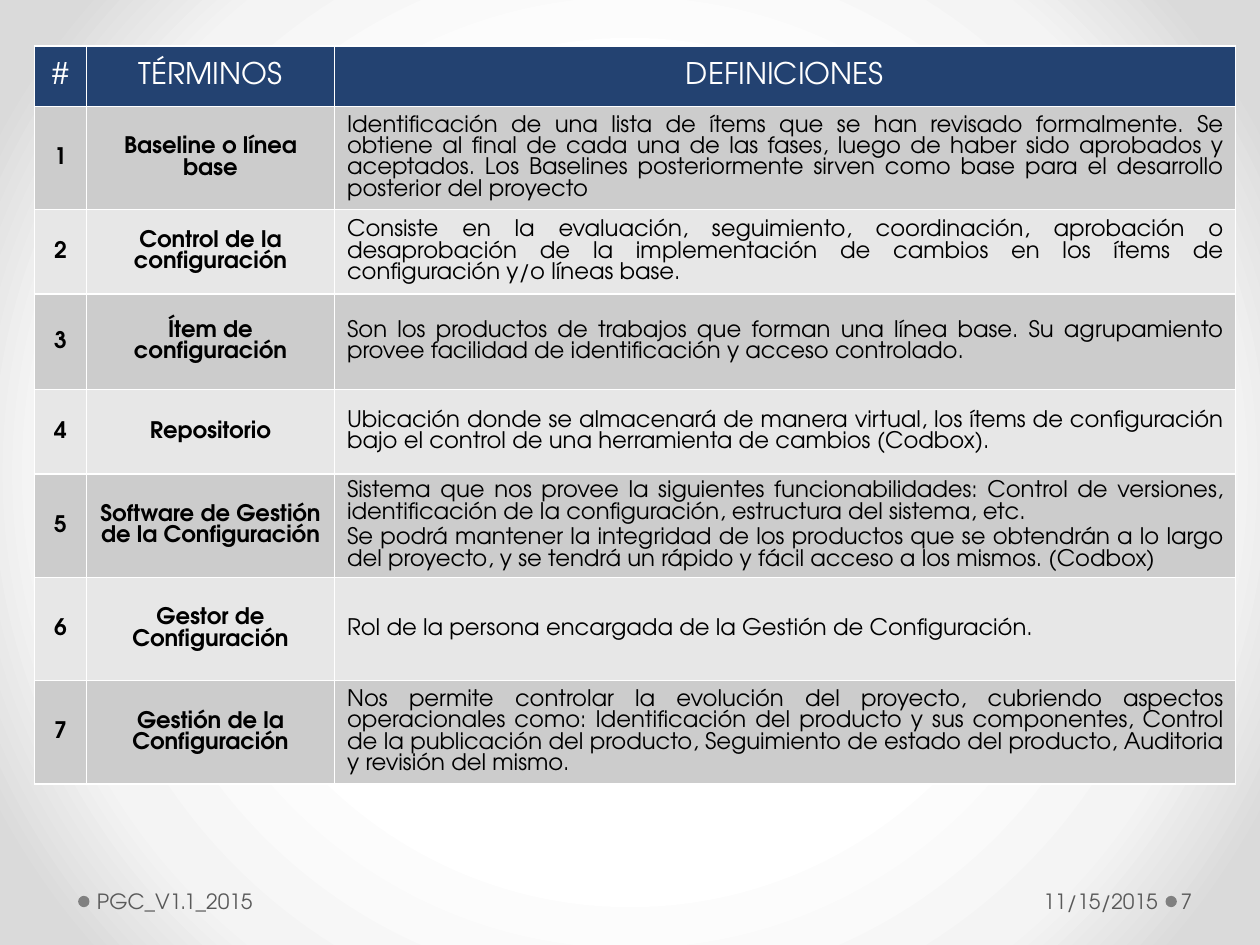
from pptx import Presentation
from pptx.dml.color import RGBColor
from pptx.enum.shapes import MSO_SHAPE
from pptx.enum.text import MSO_ANCHOR, PP_ALIGN
from pptx.oxml import parse_xml
from pptx.oxml.ns import nsdecls, qn
from pptx.util import Inches, Pt

WIDE, HIGH = 10, 7.5
FONT = "TeX Gyre Adventor"
WHITE = RGBColor(0xFF, 0xFF, 0xFF)
BLACK = RGBColor(0, 0, 0)
NAVY = RGBColor(0x23, 0x42, 0x71)
DARK = RGBColor(0xCC, 0xCC, 0xCC)
LIGHT = RGBColor(0xE7, 0xE7, 0xE7)
GREY = RGBColor(0x59, 0x59, 0x59)
DOT = RGBColor(0x80, 0x80, 0x80)
PEARL = RGBColor(0xF4, 0xF4, 0xF4)
SMOKE = RGBColor(0xDA, 0xDA, 0xDA)

COLS = [0.41, 1.97, 7.15]
ROWS = [0.48, 0.82, 0.67, 0.76, 0.67, 0.82, 0.82, 0.82]
ALIGN = [PP_ALIGN.CENTER, PP_ALIGN.CENTER, PP_ALIGN.JUSTIFY]
HEAD = ["#", "TÉRMINOS", "DEFINICIONES"]
TERMS = [
    ("Baseline o línea base",
     "Identificación de una lista de ítems que se han revisado formalmente. "
     "Se obtiene al final de cada una de las fases, luego de haber sido "
     "aprobados y aceptados. Los Baselines posteriormente sirven como base "
     "para el desarrollo posterior del proyecto"),
    ("Control de la configuración",
     "Consiste en la evaluación, seguimiento, coordinación, aprobación o "
     "desaprobación de la implementación de cambios en los ítems de "
     "configuración y/o líneas base."),
    ("Ítem de configuración",
     "Son los productos de trabajos que forman una línea base. Su "
     "agrupamiento provee facilidad de identificación y acceso controlado."),
    ("Repositorio",
     "Ubicación donde se almacenará de manera virtual, los ítems de "
     "configuración bajo el control de una herramienta de cambios (Codbox)."),
    ("Software de Gestión de la Configuración",
     "Sistema que nos provee la siguientes funcionabilidades: Control de "
     "versiones, identificación de la configuración, estructura del sistema, "
     "etc.\n"
     "Se podrá mantener la integridad de los productos que se obtendrán a lo "
     "largo del proyecto, y se tendrá un rápido y fácil acceso a los mismos. "
     "(Codbox)"),
    ("Gestor de Configuración",
     "Rol de la persona encargada de la Gestión de Configuración."),
    ("Gestión de la Configuración",
     "Nos permite controlar la evolución del proyecto, cubriendo aspectos "
     "operacionales como: Identificación del producto y sus componentes, "
     "Control de la publicación del producto, Seguimiento de estado del "
     "producto, Auditoria y revisión del mismo."),
]


class Page:
    """Holds the slide and its style; places are shares of the slide's size."""

    def __init__(self, deck):
        self.slide = deck.slides.add_slide(deck.slide_layouts[6])
        self.shapes = self.slide.shapes

    def place(self, x, y, w, h):
        return (Inches(x * WIDE), Inches(y * HIGH),
                Inches(w * WIDE), Inches(h * HIGH))

    def glow(self, stops):
        """Fill the background with a gradient spreading from the centre."""
        self.slide.background.fill.solid()
        old = self.slide.element.find(".//" + qn("a:solidFill"))
        marks = "".join(
            f'<a:gs pos="{pos * 1000}"><a:srgbClr val="{tone}"/></a:gs>'
            for pos, tone in stops)
        old.getparent().replace(old, parse_xml(
            f'<a:gradFill {nsdecls("a")} rotWithShape="1">'
            f'<a:gsLst>{marks}</a:gsLst><a:path path="circle">'
            '<a:fillToRect l="50000" t="50000" r="50000" b="50000"/>'
            '</a:path></a:gradFill>'))

    def style(self, para, size, color, align, bold=False):
        """Format a paragraph and its runs, so that rows keep their height."""
        para.alignment = align
        for font in (para.font, *(run.font for run in para.runs)):
            font.name, font.size, font.bold = FONT, Pt(size), bold
            font.color.rgb = color

    def dot(self, x, y, size):
        dot = self.shapes.add_shape(
            MSO_SHAPE.OVAL, *self.place(x, y, size / WIDE, size / HIGH))
        dot.shadow.inherit = False
        dot.fill.solid()
        dot.fill.fore_color.rgb = DOT
        dot.line.fill.background()

    def label(self, text, x, w, align, left, right):
        box = self.shapes.add_textbox(*self.place(x, 0.927, w, 0.053))
        frame = box.text_frame
        frame.word_wrap = True
        frame.vertical_anchor = MSO_ANCHOR.MIDDLE
        frame.margin_left, frame.margin_right = Inches(left), Inches(right)
        frame.text = text
        self.style(frame.paragraphs[0], 12, GREY, align)

    def edge(self, cell):
        """Draw white cell borders."""
        props = cell._tc.get_or_add_tcPr()
        for i, side in enumerate("LRTB"):
            props.insert(i, parse_xml(
                f'<a:ln{side} {nsdecls("a")} w="{Pt(1)}"><a:solidFill>'
                f'<a:srgbClr val="{WHITE}"/></a:solidFill></a:ln{side}>'))

    def cell(self, cell, text, fill, size, color, align, bold=False):
        cell.fill.solid()
        cell.fill.fore_color.rgb = fill
        cell.vertical_anchor = MSO_ANCHOR.MIDDLE
        cell.text = text
        for i, para in enumerate(cell.text_frame.paragraphs):
            self.style(para, size, color, align, bold)
            para.line_spacing = Pt(round(size * 0.94, 1))
            para.space_before = Pt(size * 0.2 if i else 0)
        self.edge(cell)

    def table(self, x, y):
        table = self.shapes.add_table(
            len(ROWS), len(COLS),
            *self.place(x, y, sum(COLS) / WIDE, sum(ROWS) / HIGH)).table
        for col, width in zip(table.columns, COLS):
            col.width = Inches(width)
        for row, height in zip(table.rows, ROWS):
            row.height = Inches(height)
        for c, text in enumerate(HEAD):
            self.cell(table.cell(0, c), text, NAVY, 17, WHITE,
                      PP_ALIGN.CENTER)
        for r, term in enumerate(TERMS, 1):
            fill = DARK if r % 2 else LIGHT
            for c, text in enumerate((str(r), *term)):
                self.cell(table.cell(r, c), text, fill, 13, BLACK,
                          ALIGN[c], c < 2)


def main():
    deck = Presentation()
    deck.slide_width, deck.slide_height = Inches(WIDE), Inches(HIGH)
    page = Page(deck)
    page.glow([(50, WHITE), (76, PEARL), (92, SMOKE)])
    for x in (0.925, 0.062):
        page.dot(x, 0.948, 0.09)
    page.label("7", 0.934, 0.061, PP_ALIGN.LEFT, 0.03, 0.05)
    page.table(0.0275, 0.0485)
    page.label("11/15/2015", 0.696, 0.228, PP_ALIGN.RIGHT, 0.1, 0.05)
    page.label("PGC_V1.1_2015", 0.072, 0.396, PP_ALIGN.LEFT, 0.05, 0.1)
    deck.save("out.pptx")


if __name__ == "__main__":
    main()
